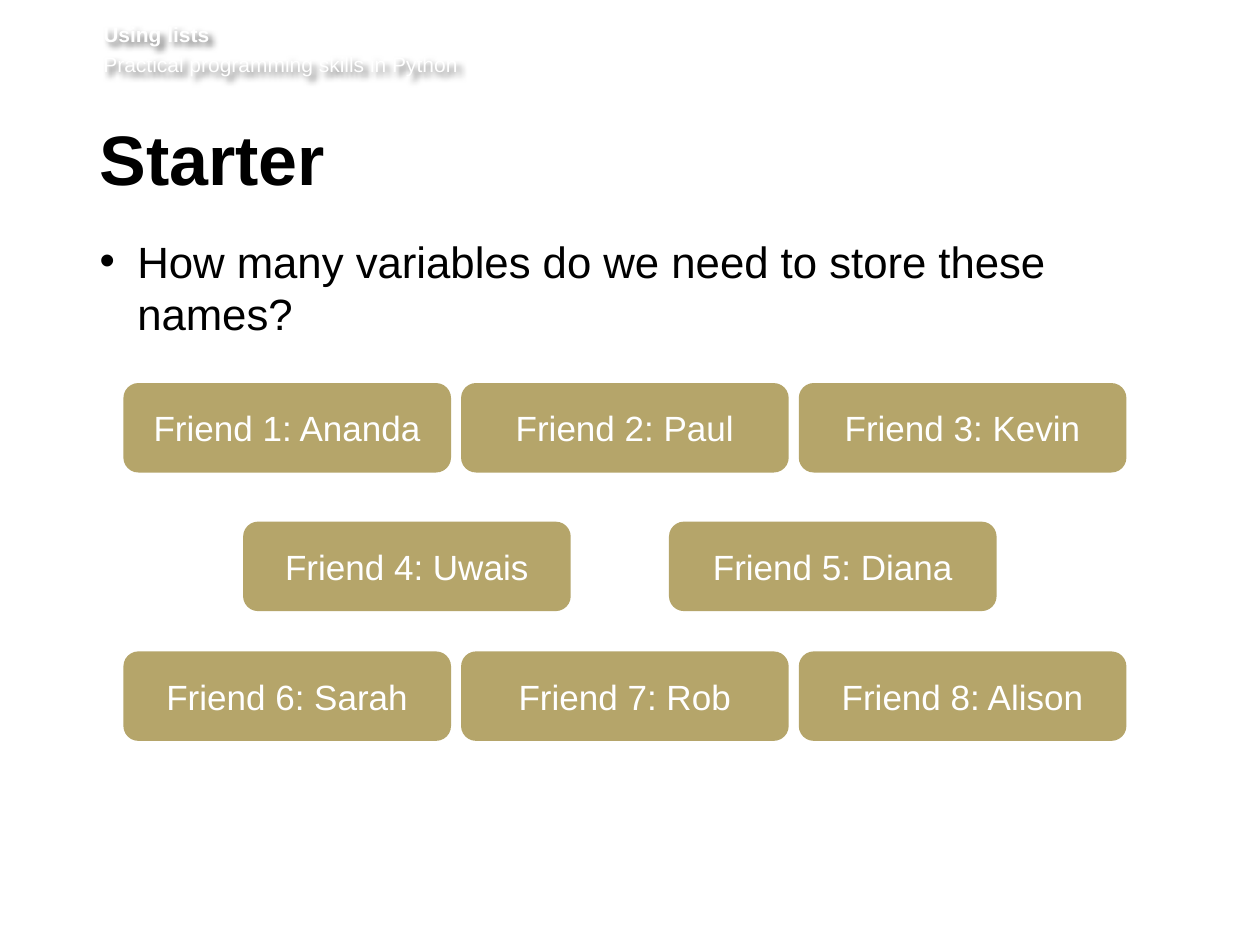
from lxml import etree
from pptx import Presentation
from pptx.dml.color import RGBColor
from pptx.enum import shapes, text
from pptx.oxml import parse_xml
from pptx.oxml.ns import nsdecls, qn
from pptx.util import Inches, Pt

HEADER = [("Using lists", True), ("Practical programming skills in Python", False)]
TITLE = "Starter"
QUESTION = "How many variables do we need to store these names?"
ROWS = [
    (0.98, 3.04, 2.68, ["Ananda", "Paul", "Kevin"]),
    (1.93, 4.14, 3.38, ["Uwais", "Diana"]),
    (0.98, 5.17, 2.68, ["Sarah", "Rob", "Alison"]),
]
CARD_W, CARD_H = 2.6, 0.71
FONT = "Arial"
WHITE = RGBColor(0xFF, 0xFF, 0xFF)
BLACK = RGBColor(0, 0, 0)
GOLD = RGBColor(0xB5, 0xA5, 0x6A)
HEADER_SHADOW = (
    f'<a:effectLst {nsdecls("a")}>'
    '<a:outerShdw blurRad="50800" dist="38100" dir="2700000" algn="tl" rotWithShape="0">'
    '<a:srgbClr val="000000"><a:alpha val="60000"/></a:srgbClr>'
    '</a:outerShdw></a:effectLst>'
)


def add_box(s, left, top, width, height, inset_top, inset_right):
    sp = s.shapes.add_textbox(*map(Inches, (left, top, width, height)))
    tf = sp.text_frame
    tf.word_wrap = True
    tf.margin_left = 0
    tf.margin_top = Inches(inset_top)
    tf.margin_right = Inches(inset_right)
    tf.margin_bottom = Inches(0.05)
    return sp


def style(p, size, color, bold=False):
    r = p.runs[0]
    r.font.size = Pt(size)
    r.font.bold = bold
    r.font.name = FONT
    r.font.color.rgb = color


def add_bullet(p, indent):
    pPr = p._p.get_or_add_pPr()
    pPr.set("marL", str(Inches(indent)))
    pPr.set("indent", str(-Inches(indent)))
    etree.SubElement(pPr, qn("a:buFont")).set("typeface", FONT)
    etree.SubElement(pPr, qn("a:buChar")).set("char", "•")


def add_card(s, left, top, label):
    sp = s.shapes.add_shape(
        shapes.MSO_SHAPE.ROUNDED_RECTANGLE,
        *map(Inches, (left, top, CARD_W, CARD_H)))
    sp.shadow.inherit = False
    sp.fill.solid()
    sp.fill.fore_color.rgb = GOLD
    sp.line.fill.background()
    tf = sp.text_frame
    tf.text = label
    tf.vertical_anchor = text.MSO_ANCHOR.MIDDLE
    p = tf.paragraphs[0]
    p.alignment = text.PP_ALIGN.CENTER
    style(p, 20, WHITE)


def main():
    prs = Presentation()
    prs.slide_width, prs.slide_height = Inches(10), Inches(7.5)
    s = prs.slides.add_slide(prs.slide_layouts[6])

    sp = add_box(s, 0.82, 0.17, 8.82, 0.49, 0, 0)
    sp.fill.background()
    sp.line.fill.background()
    sp._element.spPr.append(parse_xml(HEADER_SHADOW))
    tf = sp.text_frame
    tf.text = "\n".join(line for line, _ in HEADER)
    for p, (_, bold) in zip(tf.paragraphs, HEADER):
        style(p, 12, WHITE, bold)
    tf.paragraphs[1].space_before = Pt(2.9)

    tf = add_box(s, 0.79, 0.99, 8.55, 0.73, 0.05, 0.1).text_frame
    tf.text = TITLE
    p = tf.paragraphs[0]
    p.line_spacing = Pt(39)
    style(p, 40, BLACK, True)

    tf = add_box(s, 0.79, 1.86, 8.53, 3.78, 0, 0.1).text_frame
    tf.text = QUESTION
    p = tf.paragraphs[0]
    add_bullet(p, 0.3)
    style(p, 25, BLACK)

    number = 1
    for left, top, step, names in ROWS:
        for col, name in enumerate(names):
            add_card(s, left + col * step, top, f"Friend {number}: {name}")
            number += 1

    prs.save("out.pptx")


if __name__ == "__main__":
    main()
